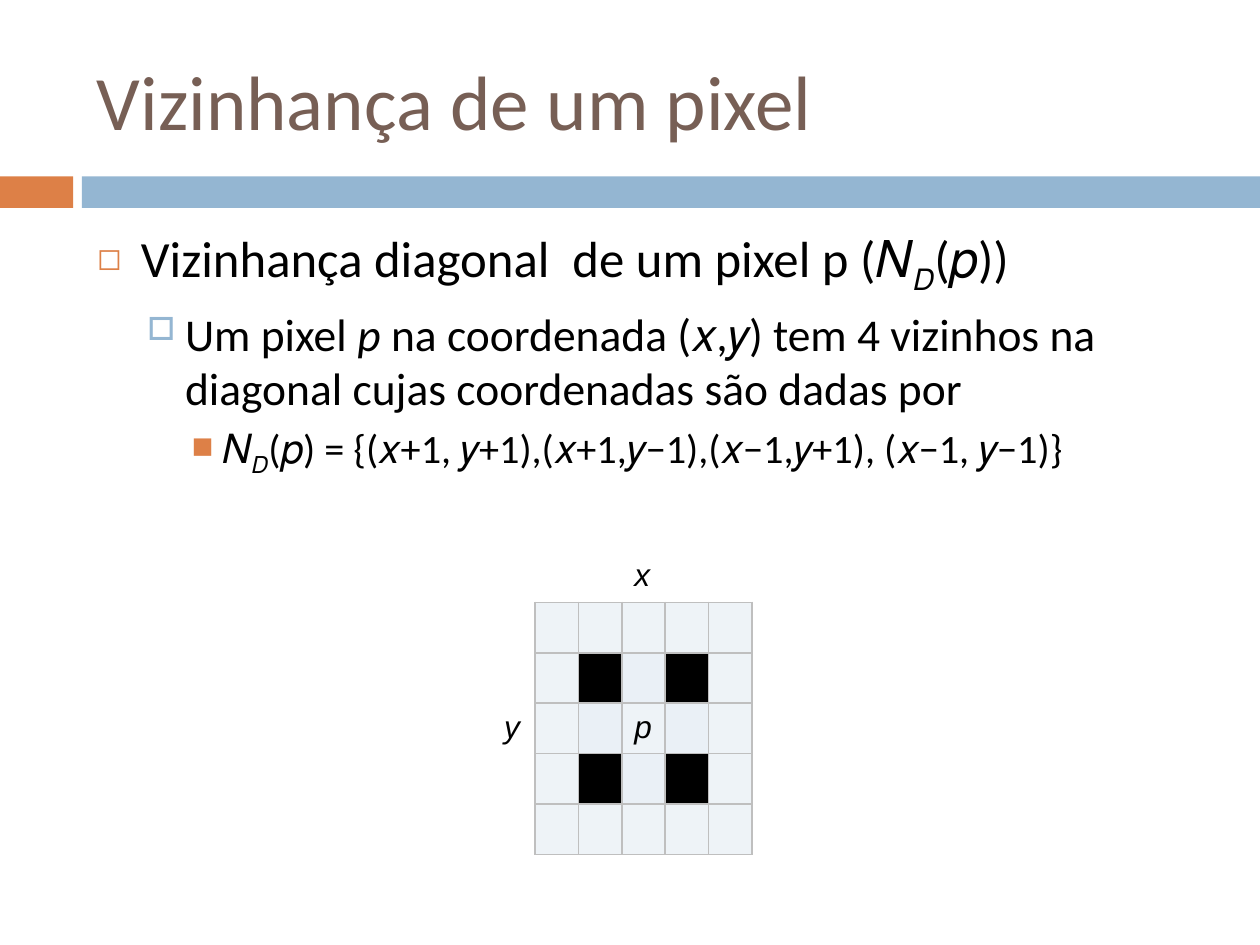
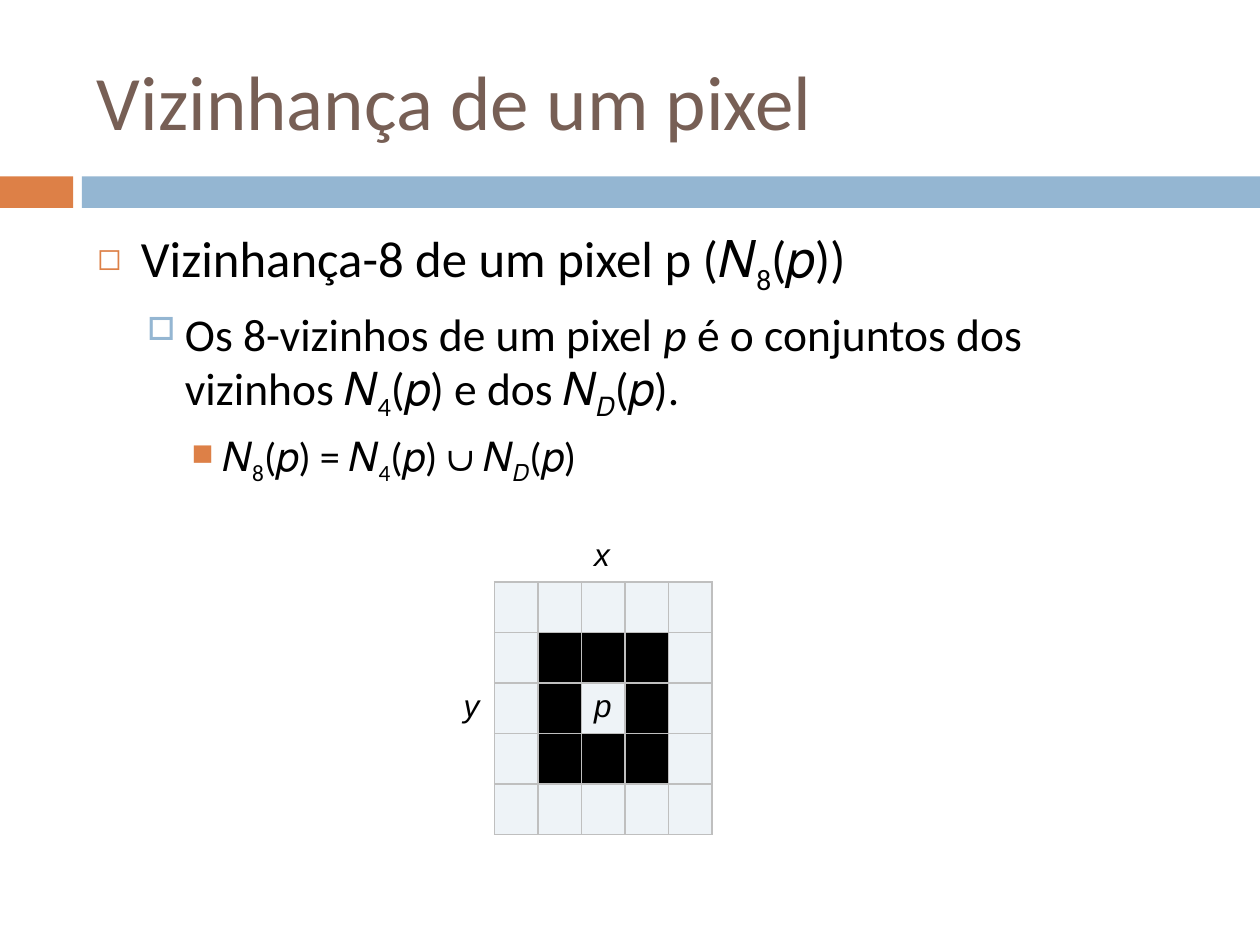
import pptx
import pptx.dml.color
import pptx.enum.shapes
import pptx.enum.text
import pptx.oxml.ns
import pptx.util
import lxml.etree

Inches = pptx.util.Inches

COLORS = {
    "orange": "DD8047",
    "blue": "94B6D2",
    "title": "775F55",
    "black": "000000",
    "white": "FFFFFF",
    "border": "BFBFBF",
    "cell": "EEF3F7",
    "near": "EAF0F6",
}

LEVELS = [
    {"size": 29, "indent": 0.35, "hang": 0.35, "before": 0, "bullet": "◻", "color": "orange", "percent": 60},
    {"size": 26, "indent": 0.7, "hang": 0.3, "before": 5.5, "bullet": "□", "color": "blue", "percent": 70},
    {"size": 23, "indent": 1, "hang": 0.25, "before": 5, "bullet": "■", "color": "orange", "percent": 75},
]

CELL_FILLS = {".": "cell", "p": "cell", "-": "near", "#": "black"}
COLUMN_WIDTH = 2.07 / 6
ROW_HEIGHT = 0.4

SLIDES = [
    {
        "body": [
            ["Vizinhança diagonal  de um pixel p (𝑁", ("𝐷", "sub"), "(𝑝))"],
            ["Um pixel ", ("p", "italic"),
             " na coordenada (𝑥,𝑦) tem 4 vizinhos na diagonal cujas coordenadas são dadas por"],
            ["𝑁", ("𝐷", "sub"), "(𝑝) = {(𝑥+1, 𝑦+1),(𝑥+1,𝑦−1),(𝑥−1,𝑦+1), (𝑥−1, 𝑦−1)}"],
        ],
        "body_width": 8.58,
        "grid": [".....", ".#-#.", ".-p-.", ".#-#.", "....."],
        "grid_position": (3.9, 4.38),
    },
    {
        "body": [
            ["Vizinhança-8 de um pixel p (𝑁", ("8", "sub"), "(𝑝))"],
            ["Os 8-vizinhos de um pixel ", ("p", "italic"), " é o conjuntos dos vizinhos 𝑁",
             ("4", "sub"), "(𝑝) e dos 𝑁", ("𝐷", "sub"), "(𝑝)."],
            ["𝑁", ("8", "sub"), "(𝑝) = 𝑁", ("4", "sub"), "(𝑝) ∪ 𝑁", ("𝐷", "sub"), "(𝑝)"],
        ],
        "body_width": 8.66,
        "grid": [".....", ".###.", ".#p#.", ".###.", "....."],
        "grid_position": (3.58, 4.22),
    },
]


def rgb(name):
    return pptx.dml.color.RGBColor.from_string(COLORS[name])


def add_element(parent, tag, **attributes):
    element = lxml.etree.SubElement(parent, pptx.oxml.ns.qn(tag))
    for key, value in attributes.items():
        element.set(key, str(value))
    return element


def add_text(paragraph, text, size=18, font="Calibri", color="black", italic=False, subscript=False):
    run = paragraph.add_run()
    run.text = text
    run.font.size = pptx.util.Pt(size)
    run.font.name = font
    run.font.italic = italic
    run.font.color.rgb = rgb(color)
    if subscript:
        run._r.get_or_add_rPr().set("baseline", "-25000")


def add_text_frame(slide, left, top, width, height):
    box = slide.shapes.add_textbox(Inches(left), Inches(top), Inches(width), Inches(height))
    box.text_frame.word_wrap = True
    return box.text_frame


def add_band(slide, left, top, width, height, color):
    shape = slide.shapes.add_shape(
        pptx.enum.shapes.MSO_SHAPE.RECTANGLE,
        Inches(left), Inches(top), Inches(width), Inches(height))
    shape.shadow.inherit = False
    shape.fill.solid()
    shape.fill.fore_color.rgb = rgb(color)
    shape.line.fill.background()


def add_header(slide, title):
    add_band(slide, 0, 1.4, 0.58, 0.25, "orange")
    add_band(slide, 0.65, 1.4, 9.35, 0.25, "blue")
    frame = add_text_frame(slide, 0.67, 0.25, 8.92, 1.08)
    frame.vertical_anchor = pptx.enum.text.MSO_ANCHOR.MIDDLE
    add_text(frame.paragraphs[0], title, size=44, color="title")


def set_bullet(paragraph, level):
    properties = paragraph._p.get_or_add_pPr()
    properties.set("marL", str(Inches(level["indent"])))
    properties.set("indent", str(-Inches(level["hang"])))
    bullet_color = add_element(properties, "a:buClr")
    add_element(bullet_color, "a:srgbClr", val=COLORS[level["color"]])
    add_element(properties, "a:buSzPct", val=level["percent"] * 1000)
    add_element(properties, "a:buChar", char=level["bullet"])


def add_body(slide, left, top, width, height, paragraphs):
    frame = add_text_frame(slide, left, top, width, height)
    for index, (pieces, level) in enumerate(zip(paragraphs, LEVELS)):
        paragraph = frame.add_paragraph() if index else frame.paragraphs[0]
        paragraph.level = index
        set_bullet(paragraph, level)
        paragraph.space_before = pptx.util.Pt(level["before"])
        for piece in pieces:
            text, style = (piece, None) if isinstance(piece, str) else piece
            add_text(paragraph, text, size=level["size"],
                     italic=style == "italic", subscript=style == "sub")


def format_cell(cell, fill, borders):
    properties = cell._tc.get_or_add_tcPr()
    for side, color in zip("LRTB", borders):
        line = add_element(properties, f"a:ln{side}", w=pptx.util.Pt(1))
        solid = add_element(line, "a:solidFill")
        add_element(solid, "a:srgbClr", val=COLORS[color])
    cell.fill.solid()
    cell.fill.fore_color.rgb = rgb(fill)


def add_pixel_grid(slide, left, top, grid):
    rows = ["   x  "] + [label + row for label, row in zip("  y  ", grid)]
    count = len(rows)
    table = slide.shapes.add_table(
        count, count, Inches(left), Inches(top),
        Inches(COLUMN_WIDTH * count), Inches(ROW_HEIGHT * count)).table
    table.first_row = False
    table.horz_banding = False
    for column in table.columns:
        column.width = Inches(COLUMN_WIDTH)
    for row_index, row in enumerate(rows):
        table.rows[row_index].height = Inches(ROW_HEIGHT)
        for column_index, mark in enumerate(row):
            cell = table.cell(row_index, column_index)
            if row_index and column_index:
                fill, borders = CELL_FILLS[mark], ["border"] * 4
            else:
                right = "border" if row_index else "white"
                bottom = "border" if column_index else "white"
                fill, borders = "white", ["white", right, "white", bottom]
            format_cell(cell, fill, borders)
            if mark in "xyp":
                add_text(cell.text_frame.paragraphs[0], mark, font="Arial", italic=True)


def add_neighbourhood_slide(presentation, content):
    slide = presentation.slides.add_slide(presentation.slide_layouts[6])
    add_header(slide, "Vizinhança de um pixel")
    add_body(slide, 0.67, 1.75, content["body_width"], 4.92, content["body"])
    add_pixel_grid(slide, *content["grid_position"], content["grid"])


def main():
    presentation = pptx.Presentation()
    presentation.slide_width = Inches(10)
    presentation.slide_height = Inches(7.5)
    for content in SLIDES:
        add_neighbourhood_slide(presentation, content)
    presentation.save("out.pptx")


if __name__ == "__main__":
    main()
